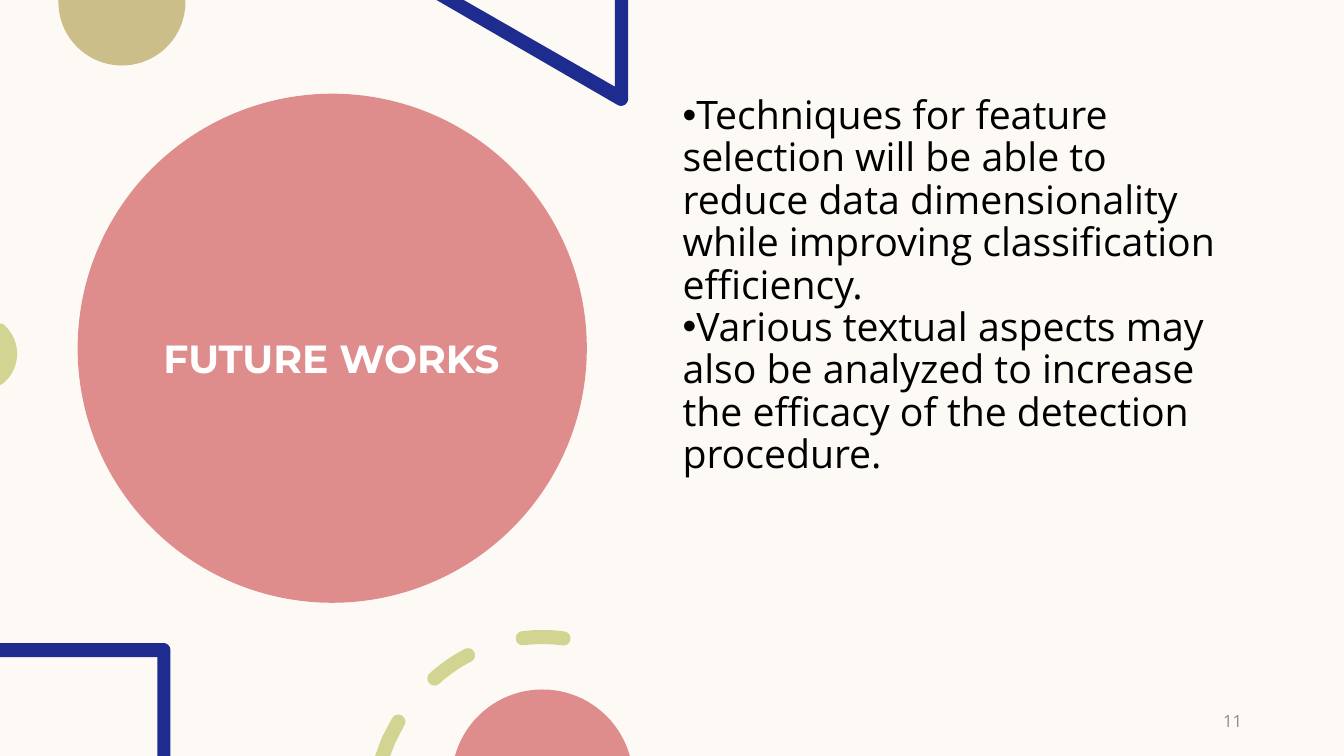
"""Build the Future Works slide with its geometric decoration."""
import math

import pptx
import pptx.dml.color
import pptx.enum.shapes
import pptx.enum.text
import pptx.oxml
import pptx.util
from pptx.util import Inches

ALIGN = pptx.enum.text.PP_ALIGN
ANCHOR = pptx.enum.text.MSO_ANCHOR
CREAM, ROSE, NAVY = "FDFAF6", "DE8C8C", "1F2C8F"
LIME, SAND = "D2D592", "CCBE89"
BULLETS = [
    "Techniques for feature selection will be able to reduce data "
    "dimensionality while improving classification efficiency.",
    "Various textual aspects may also be analyzed to increase the "
    "efficacy of the detection procedure.",
]


def rgb(value):
    return pptx.dml.color.RGBColor.from_string(value)


def paint(sp, color):
    sp.shadow.inherit = False
    sp.fill.solid()
    sp.fill.fore_color.rgb = rgb(color)
    sp.line.fill.background()


def arc(cx, cy, radius, start, end, steps=40):
    angles = [math.radians(start + (end - start) * i / steps) for i in range(steps + 1)]
    return [(cx + radius * math.cos(a), cy + radius * math.sin(a)) for a in angles]


def round_dash(cx, cy, radius, start, end, half=0.07):
    def cap(angle, turn):
        center = arc(cx, cy, radius, angle, angle, 1)[0]
        return arc(*center, half, turn, turn + 180, 12)

    return (arc(cx, cy, radius + half, start, end) + cap(end, end)
            + arc(cx, cy, radius - half, end, start) + cap(start, start + 180))


def add_outline(s, color, *contours):
    contours = [[(Inches(x), Inches(y)) for x, y in points] for points in contours]
    fb = s.shapes.build_freeform(*contours[0][0])
    fb.add_line_segments(contours[0][1:])
    for points in contours[1:]:
        fb.move_to(*points[0])
        fb.add_line_segments(points[1:])
    paint(fb.convert_to_shape(), color)


def add_circle(s, left, top, size, color):
    box = [Inches(v) for v in (left, top, size, size)]
    paint(s.shapes.add_shape(pptx.enum.shapes.MSO_SHAPE.OVAL, *box), color)


def set_text(sp, box, lines, font, color, anchor=ANCHOR.TOP, **paragraph):
    for name, value in zip(("left", "top", "width", "height"), box):
        setattr(sp, name, Inches(value))
    tf = sp.text_frame
    frame = {"word_wrap": True, "vertical_anchor": anchor,
             "auto_size": pptx.enum.text.MSO_AUTO_SIZE.NONE}
    for name, value in frame.items():
        setattr(tf, name, value)
    for i, line in enumerate(lines):
        p = tf.add_paragraph() if i else tf.paragraphs[0]
        for name, value in paragraph.items():
            setattr(p, name, value)
        r = p.add_run()
        r.text = line
        for name, value in font.items():
            setattr(r.font, name, value)
        r.font.color.rgb = rgb(color)


def add_bullets(sp):
    for p in sp.text_frame.paragraphs:
        pPr = p._p.get_or_add_pPr()
        pPr.set("marL", "0")
        pPr.set("indent", "0")
        bu = pptx.oxml.parse_xml(
            '<a:buChar xmlns:a="http://schemas.openxmlformats.org/drawingml/2006/main" char="•"/>')
        pPr.append(bu)


def add_decoration(s):
    add_circle(s, 0.77, 0.93, 5.05, ROSE)
    add_outline(s, SAND, [(1.84, 0)] + arc(1.21, 0.02, 0.63, 0, 180) + [(0.58, 0)])
    add_outline(s, NAVY, [(6.23, 0), (6.1, 0), (6.1, 0.86), (4.6, 0), (4.33, 0)]
                + arc(6.16, 0.98, 0.07, 120, 0))
    add_outline(s, LIME, [(0, 3.21)] + arc(-0.21, 3.51, 0.38, -52, 52) + [(0, 3.82)])
    add_outline(s, NAVY, [(1.69, 7.5), (1.56, 7.5), (1.56, 6.52), (0, 6.52), (0, 6.38)]
                + arc(1.62, 6.45, 0.07, 270, 360))
    cut_dash = ([(3.72, 7.5), (3.79, 7.31)] + arc(3.95, 7.16, 0.07, 208, 388)
                + [(3.92, 7.37), (3.87, 7.5)])
    dashes = [round_dash(5.38, 7.92, 1.6, *span) for span in ((228, 242.5), (263, 277.5))]
    add_outline(s, LIME, cut_dash, *dashes)
    add_outline(s, ROSE, arc(5.38, 7.74, 0.9, 195.5, 344.5))


def main():
    prs = pptx.Presentation()
    prs.slide_width, prs.slide_height = Inches(13.33), Inches(7.5)
    s = prs.slides.add_slide(prs.slide_layouts[1])
    s.background.fill.solid()
    s.background.fill.fore_color.rgb = rgb(CREAM)
    add_decoration(s)

    title, body = s.shapes.title, s.placeholders[1]
    for sp in (title, body):
        s.shapes._spTree.append(sp._element)
    size = pptx.util.Pt(28)
    set_text(title, (1.52, 1.35, 3.54, 4.45), ["FUTURE WORKS"],
             {"name": "Montserrat", "size": size, "bold": True}, "FFFFFF",
             ANCHOR.MIDDLE, alignment=ALIGN.LEFT, line_spacing=0.9)
    set_text(body, (6.67, 0.9, 5.75, 5.35), BULLETS,
             {"name": "Open Sans", "size": size}, "000000",
             line_spacing=0.9, space_before=pptx.util.Pt(0))
    add_bullets(body)
    number = s.shapes.add_textbox(0, 0, 0, 0)
    set_text(number, (11.49, 6.95, 0.93, 0.4), ["11"],
             {"name": "Open Sans", "size": pptx.util.Pt(12)}, "8C8C8C",
             ANCHOR.MIDDLE, alignment=ALIGN.RIGHT, space_after=pptx.util.Pt(6))
    prs.save("out.pptx")


main()
